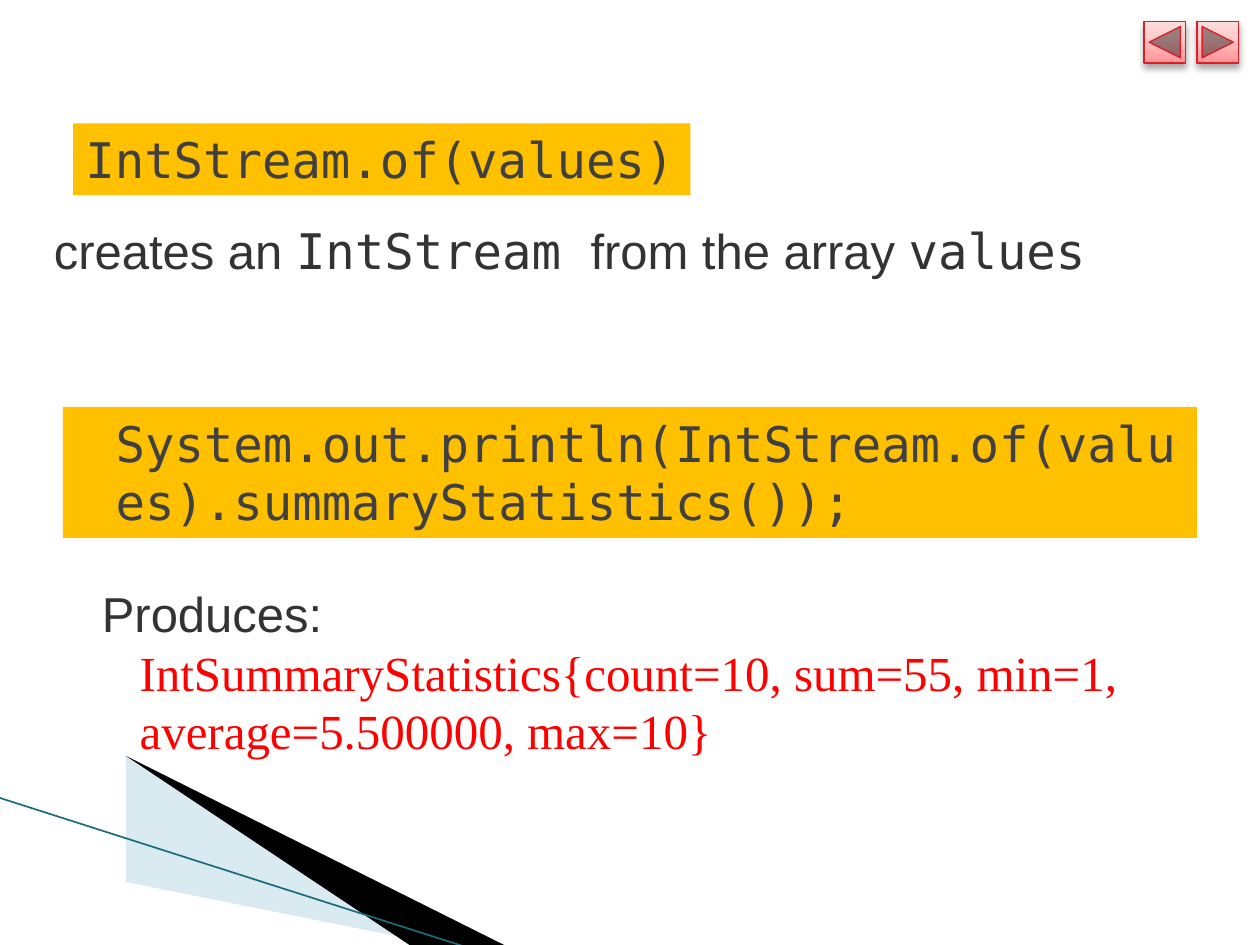
from lxml import etree
from pptx import Presentation
from pptx.dml.color import RGBColor
from pptx.enum.shapes import MSO_CONNECTOR, MSO_SHAPE
from pptx.enum.text import MSO_AUTO_SIZE
from pptx.oxml import parse_xml
from pptx.oxml.ns import qn
from pptx.util import Inches, Pt

THEME = {
    "size": 28,
    "sans": "Arial", "mono": "DejaVu Sans Mono", "serif": "Times New Roman",
    "body": "333333", "code": "404040", "result": "FF0000",
    "highlight": "FFC000",
    "wedge": "A0CBDC", "band": "000000", "edge": "1B6B7F",
    "button_line": "DA1F28",
    "button_stops": [(0, "FF9294"), (65, "FFCDCD"), (100, "FFDCDC")],
}

# Each wedge: outline points, fill, opacity in percent
WEDGES = [
    ([(0.55, 6.51), (5.95, 7.51), (4.56, 7.51), (0.55, 6.5)], "wedge", 40),
    ([(0.53, 6.49), (4.57, 7.51), (3.72, 7.52), (0.54, 6.5)], "band", 100),
]
EDGE = [(-0.01, 6.33), (3.71, 7.52)]

BUTTONS = [MSO_SHAPE.ACTION_BUTTON_BACK_OR_PREVIOUS,
           MSO_SHAPE.ACTION_BUTTON_FORWARD_OR_NEXT]
BUTTON_LEFT, BUTTON_TOP, BUTTON_SIDE, BUTTON_STEP = 9.08, 0.17, 0.33, 0.42

# Each paragraph: left indent, then spans of (text, font, colour)
BOXES = [
    {"at": (0.58, 0.98, 4.9, 0.57), "fill": "highlight", "wrap": False,
     "paras": [(0, [("IntStream.of(values)", "mono", "code")])]},
    {"at": (0.33, 1.7, 9, 0.57),
     "paras": [(0, [("creates an ", "sans", "body"),
                    ("IntStream ", "mono", "body"),
                    ("from the array ", "sans", "body"),
                    ("values", "mono", "body")])]},
    {"at": (0.5, 3.23, 9, 1.04), "fill": "highlight",
     "paras": [(0.32, [("System.out.println(IntStream.of(values)"
                        ".summaryStatistics());", "mono", "code")])]},
    {"at": (-0.33, 4.58, 10, 1.51),
     "paras": [(1.04, [("Produces:", "sans", "body")]),
               (1.34, [("IntSummaryStatistics{count=10, sum=55, min=1, "
                        "average=5.500000, max=10}", "serif", "result")])]},
]

NAMESPACE = 'xmlns:a="http://schemas.openxmlformats.org/drawingml/2006/main"'


def color(name):
    return RGBColor.from_string(THEME[name])


def add_wedge(page, points, fill, opacity):
    builder = page.shapes.build_freeform(*points[0], scale=Inches(1))
    builder.add_line_segments(points[1:], close=True)
    wedge = builder.convert_to_shape()
    wedge.shadow.inherit = False
    wedge.line.fill.background()
    wedge.fill.solid()
    wedge.fill.fore_color.rgb = color(fill)
    if opacity < 100:
        tint = wedge._element.spPr.find(qn("a:solidFill"))[0]
        etree.SubElement(tint, qn("a:alpha"), val=str(opacity * 1000))


def add_edge(page, start, end):
    edge = page.shapes.add_connector(
        MSO_CONNECTOR.STRAIGHT, *map(Inches, start + end))
    edge.line.color.rgb = color("edge")
    edge.line.width = Pt(0.95)
    etree.SubElement(edge._element.spPr, qn("a:effectLst"))


def add_button(page, kind, left):
    button = page.shapes.add_shape(
        kind, *map(Inches, (left, BUTTON_TOP, BUTTON_SIDE, BUTTON_SIDE)))
    button.line.color.rgb = color("button_line")
    button.line.width = Pt(0.75)
    stops = "".join(
        f'<a:gs pos="{position * 1000}"><a:srgbClr val="{tint}"/></a:gs>'
        for position, tint in THEME["button_stops"])
    gradient = parse_xml(
        f'<a:gradFill {NAMESPACE}><a:gsLst>{stops}</a:gsLst>'
        '<a:lin ang="16200000" scaled="0"/></a:gradFill>')
    shadow = parse_xml(
        f'<a:effectLst {NAMESPACE}><a:outerShdw blurRad="{Pt(4)}" '
        f'dist="{Pt(3)}" dir="5400000" rotWithShape="0">'
        '<a:srgbClr val="000000"><a:alpha val="35000"/></a:srgbClr>'
        '</a:outerShdw></a:effectLst>')
    properties = button._element.spPr
    properties.find(qn("a:prstGeom")).addnext(gradient)
    properties.append(shadow)


def add_text(page, at, paras, fill=None, wrap=True):
    box = page.shapes.add_textbox(*map(Inches, at))
    if fill:
        box.fill.solid()
        box.fill.fore_color.rgb = color(fill)
    frame = box.text_frame
    frame.word_wrap = wrap
    frame.auto_size = MSO_AUTO_SIZE.SHAPE_TO_FIT_TEXT
    for index, (indent, spans) in enumerate(paras):
        para = frame.add_paragraph() if index else frame.paragraphs[0]
        if indent:
            para._p.get_or_add_pPr().set("marL", str(Inches(indent)))
        for text, font, tint in spans:
            span = para.add_run()
            span.text = text
            span.font.name = THEME[font]
            span.font.size = Pt(THEME["size"])
            span.font.color.rgb = color(tint)


def main():
    deck = Presentation()
    deck.slide_width, deck.slide_height = Inches(10), Inches(7.5)
    page = deck.slides.add_slide(deck.slide_layouts[6])
    for wedge in WEDGES:
        add_wedge(page, *wedge)
    add_edge(page, *EDGE)
    for index, kind in enumerate(BUTTONS):
        add_button(page, kind, BUTTON_LEFT + index * BUTTON_STEP)
    for box in BOXES:
        add_text(page, **box)
    deck.save("out.pptx")


if __name__ == "__main__":
    main()
